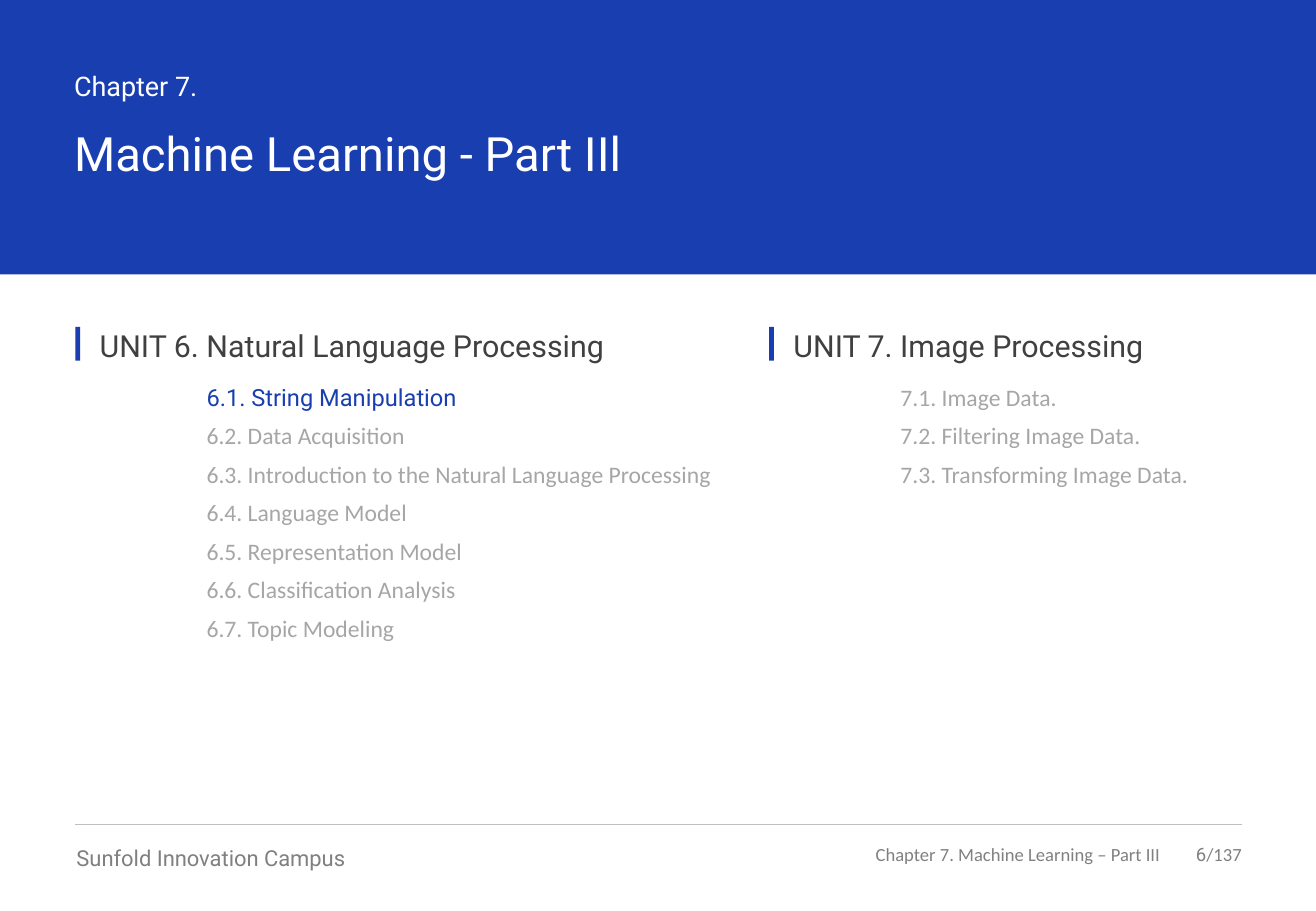
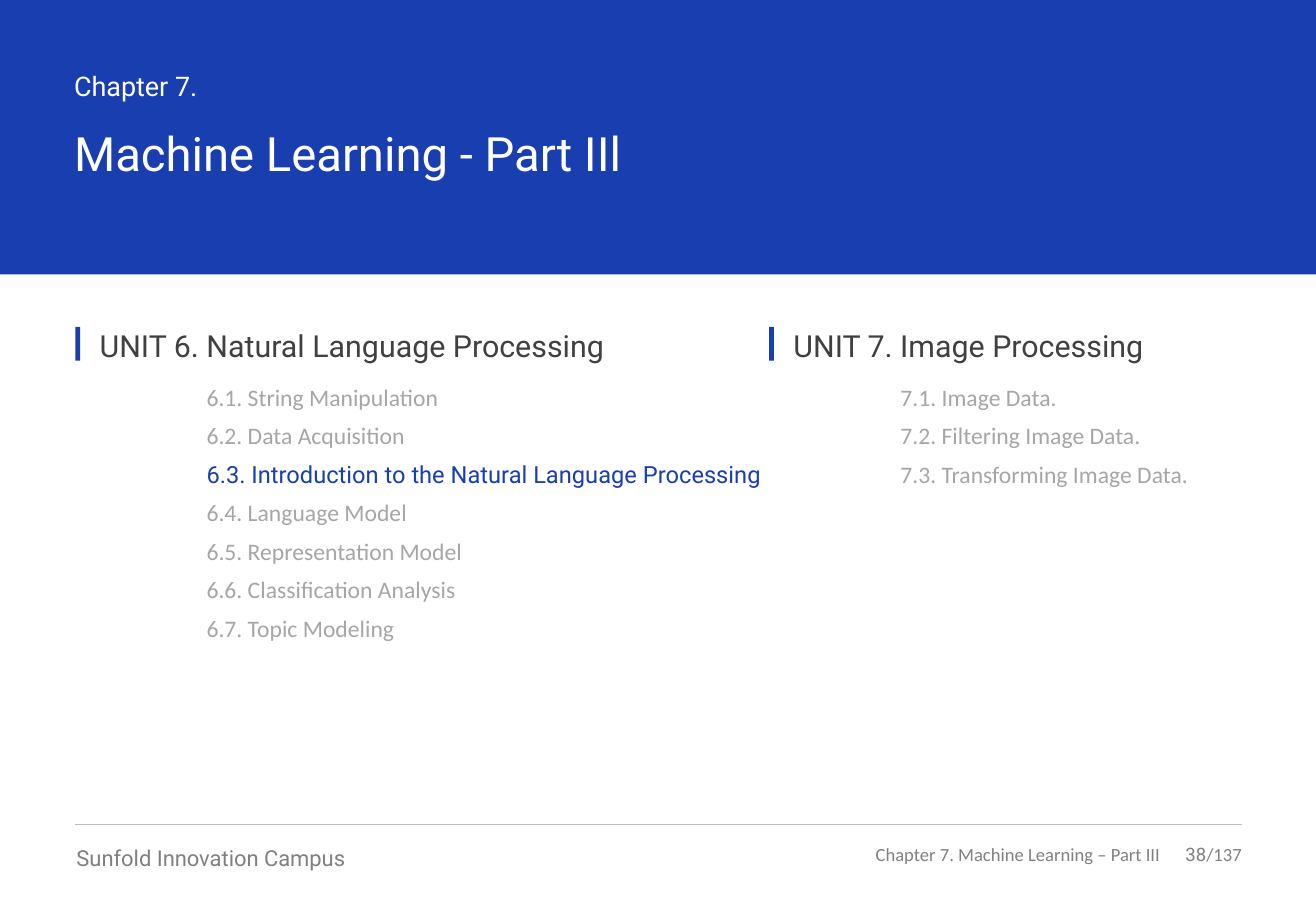
from lxml import etree
from pptx import Presentation
from pptx.dml.color import RGBColor
from pptx.enum import shapes, text
from pptx.oxml import ns
from pptx.util import Inches, Pt

BLUE = RGBColor(0x19, 0x3E, 0xB0)
WHITE = RGBColor(0xFF, 0xFF, 0xFF)
DARK = RGBColor(0x40, 0x40, 0x40)
GREY = RGBColor(0x80, 0x80, 0x80)
LIGHT_GREY = RGBColor(0xA6, 0xA6, 0xA6)
RULE_GREY = RGBColor(0xBF, 0xBF, 0xBF)
HEAD_FONT, BODY_FONT = "Roboto", "Calibri"
TOP, MIDDLE = text.MSO_ANCHOR.TOP, text.MSO_ANCHOR.MIDDLE
LEFT, RIGHT = text.PP_ALIGN.LEFT, text.PP_ALIGN.RIGHT

LAST_PAGE = 137
# bar left edge, right edge, heading, topics
UNITS = [
    (0.62, 6.57, "UNIT 6. Natural Language Processing", [
        "6.1. String Manipulation",
        "6.2. Data Acquisition",
        "6.3. Introduction to the Natural Language Processing",
        "6.4. Language Model",
        "6.5. Representation Model",
        "6.6. Classification Analysis",
        "6.7. Topic Modeling",
    ]),
    (6.33, 10.6, "UNIT 7. Image Processing", [
        "7.1. Image Data.",
        "7.2. Filtering Image Data.",
        "7.3. Transforming Image Data.",
    ]),
]
# page number, number of the current topic
PAGES = [(6, "6.1."), (38, "6.3.")]


def write(box, at, lines, anchor=TOP, align=LEFT, after=0):
    """Place box and fill it; a line is a list of (text, size, font, colour) runs."""
    box.left, box.top, box.width, box.height = map(Inches, at)
    frame = box.text_frame
    frame.margin_left = frame.margin_right = frame.margin_top = frame.margin_bottom = 0
    frame.word_wrap = True
    frame.auto_size = text.MSO_AUTO_SIZE.NONE
    frame.vertical_anchor = anchor
    for index, runs in enumerate(lines):
        paragraph = frame.add_paragraph() if index else frame.paragraphs[0]
        paragraph.alignment = align
        paragraph.space_after = Pt(after)
        for words, size, font, colour in runs:
            run = paragraph.add_run()
            run.text = words
            run.font.size, run.font.name = Pt(size), font
            run.font.color.rgb = colour


def add_block(slide, left, top, width, height):
    block = slide.shapes.add_shape(shapes.MSO_SHAPE.RECTANGLE, Inches(left),
                                   Inches(top), Inches(width), Inches(height))
    block.shadow.inherit = False
    block.fill.solid()
    block.fill.fore_color.rgb = BLUE
    block.line.fill.background()
    return block


deck = Presentation()
deck.slide_width, deck.slide_height = Inches(10.83), Inches(7.5)
title_only = deck.slide_layouts[5]

for page, current in PAGES:
    slide = deck.slides.add_slide(title_only)

    # Band behind the title
    band = add_block(slide, 0, 0, 10.83, 2.26)
    slide.shapes._spTree.insert(2, band._element)
    write(slide.shapes.title, (0.61, 1.02, 5.49, 0.47),
          [[("Machine Learning - Part IIl", 28, HEAD_FONT, WHITE)]])

    # Footer rule
    rule = slide.shapes.add_connector(shapes.MSO_CONNECTOR.STRAIGHT, Inches(0.62),
                                      Inches(6.79), Inches(10.22), Inches(6.79))
    rule.line.color.rgb = RULE_GREY
    rule.line.width = Pt(0.5)
    etree.SubElement(rule._element.spPr, ns.qn("a:effectLst"))

    # Chapter label and footer texts
    labels = [
        ((0.61, 0.57, 1.18, 0.27), TOP, LEFT, [("Chapter 7.", 16, HEAD_FONT, WHITE)]),
        ((0.63, 6.95, 3.16, 0.22), TOP, LEFT,
         [("Sunfold Innovation Campus", 13, HEAD_FONT, GREY)]),
        ((7, 6.94, 2.55, 0.19), MIDDLE, RIGHT,
         [("Chapter 7. Machine Learning – Part III", 11, BODY_FONT, GREY)]),
        ((9.55, 6.94, 0.67, 0.19), MIDDLE, RIGHT,
         [(str(page), 11, HEAD_FONT, GREY), (f"/{LAST_PAGE}", 11, BODY_FONT, GREY)]),
    ]
    for at, anchor, align, runs in labels:
        write(slide.shapes.add_textbox(0, 0, 0, 0), at, [runs], anchor, align)

    # Unit columns
    for left, right, heading, topics in UNITS:
        add_block(slide, left, 2.69, 0.04, 0.28)
        heading_left, topics_left = left + 0.2, left + 1.08
        write(slide.shapes.add_textbox(0, 0, 0, 0),
              (heading_left, 2.69, right - heading_left, 0.3),
              [[(heading, 18, HEAD_FONT, DARK)]], MIDDLE, after=6)
        lines = []
        for topic in topics:
            is_current = topic.startswith(current)
            lines.append([(topic, 14, HEAD_FONT if is_current else BODY_FONT,
                           BLUE if is_current else LIGHT_GREY)])
        write(slide.shapes.add_textbox(0, 0, 0, 0),
              (topics_left, 3.15, right - topics_left, 0.31 * len(topics)),
              lines, after=6)

deck.save("out.pptx")
